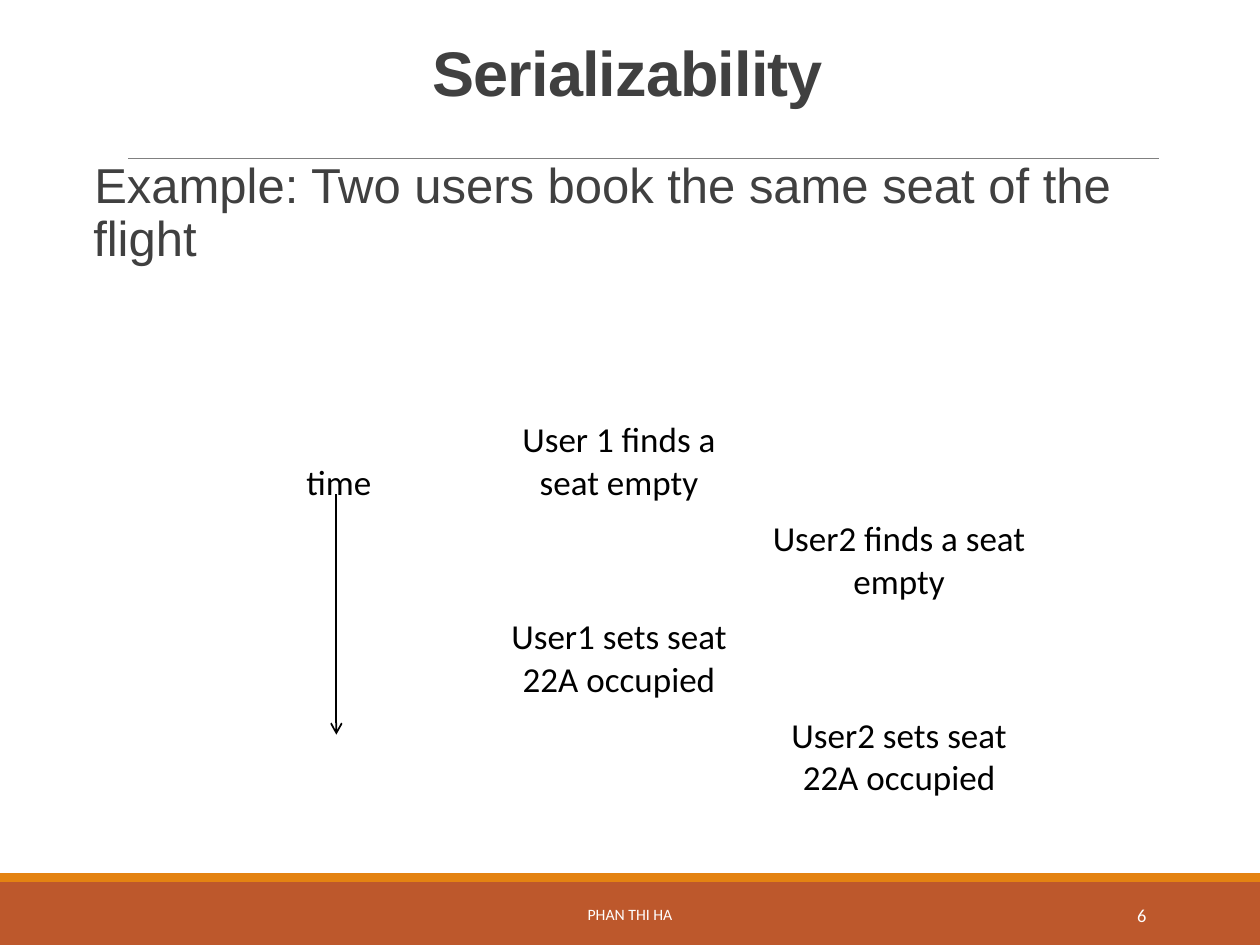
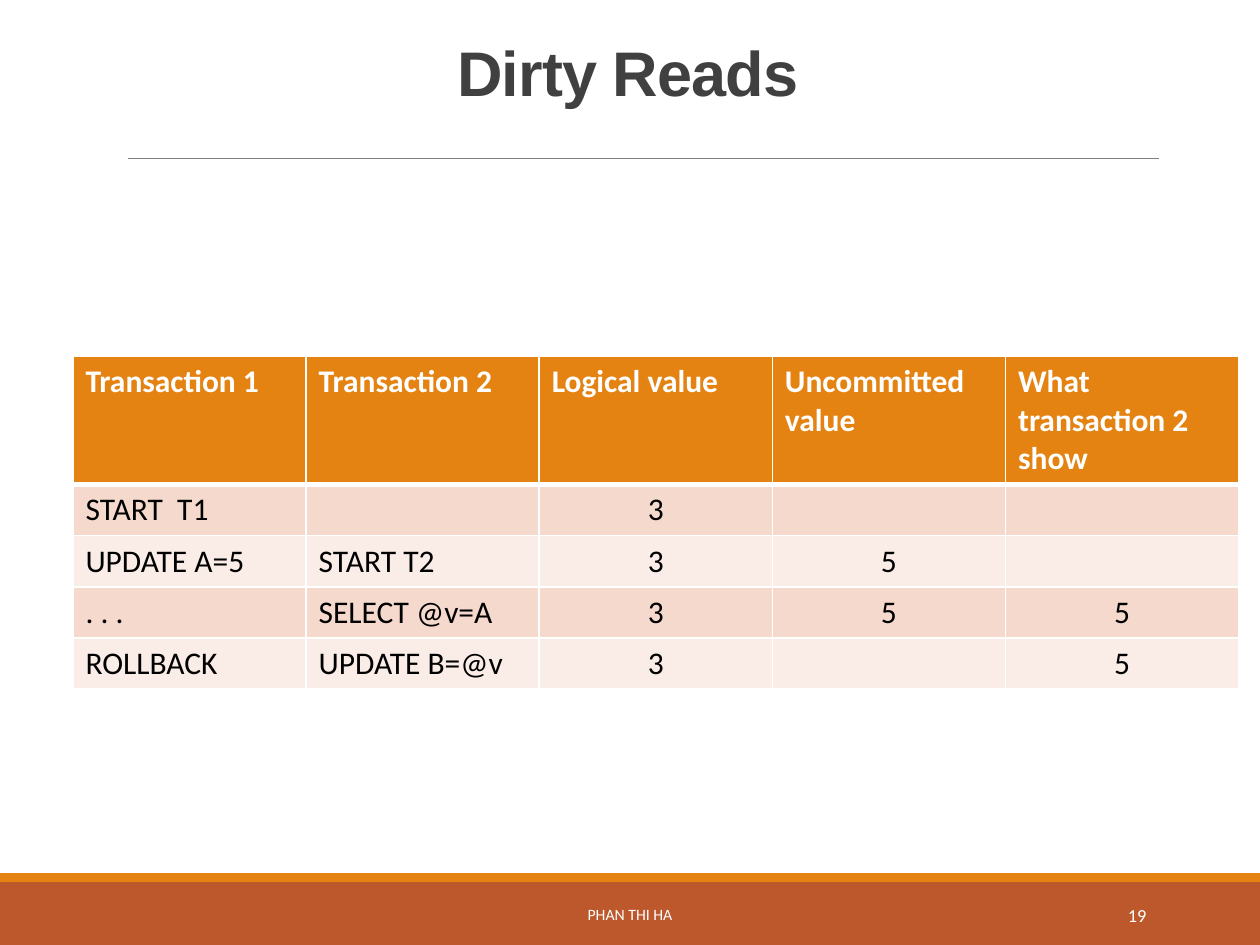
import pptx
import pptx.util
import pptx.dml.color
import pptx.enum.shapes
import pptx.enum.text
import pptx.oxml.ns
from lxml import etree

Cm = pptx.util.Cm
Pt = pptx.util.Pt
RGBColor = pptx.dml.color.RGBColor
ALIGN = pptx.enum.text.PP_ALIGN
ANCHOR = pptx.enum.text.MSO_ANCHOR
qn = pptx.oxml.ns.qn

RUST = RGBColor(0xBD, 0x58, 0x2C)
ORANGE = RGBColor(0xE4, 0x83, 0x12)
GRAY = RGBColor(0x80, 0x80, 0x80)
DARK = RGBColor(0x40, 0x40, 0x40)
BLACK = RGBColor(0x00, 0x00, 0x00)
WHITE = RGBColor(0xFF, 0xFF, 0xFF)
PEACH = RGBColor(0xF5, 0xD9, 0xCC)
CREAM = RGBColor(0xFA, 0xED, 0xE7)

HEAD_FONT = "Arial"
TEXT_FONT = "Calibri"
AUTHOR = "PHAN THI HA"

BOOKING = [
    ["time", "User 1 finds a seat empty", ""],
    ["", "", "User2 finds a seat empty"],
    ["", "User1 sets seat 22A occupied", ""],
    ["", "", "User2 sets seat 22A occupied"],
]
READS = [
    ["Transaction 1", "Transaction 2", "Logical value", "Uncommitted value",
     "What transaction 2 show"],
    ["START  T1", "", "3", "", ""],
    ["UPDATE A=5", "START T2", "3", "5", ""],
    [". . .", "SELECT @v=A", "3", "5", "5"],
    ["ROLLBACK", "UPDATE B=@v", "3", "", "5"],
]


def write(frame, text, size, color, font=TEXT_FONT, bold=False, align=ALIGN.LEFT):
    frame.text = text
    para = frame.paragraphs[0]
    para.alignment = align
    for run in para.runs:
        run.font.name = font
        run.font.size = Pt(size)
        run.font.bold = bold
        run.font.color.rgb = color
    return para


def place(shape, left, top, width, height):
    shape.left, shape.top = Cm(left), Cm(top)
    shape.width, shape.height = Cm(width), Cm(height)
    frame = shape.text_frame
    frame.word_wrap = True
    frame.auto_size = pptx.enum.text.MSO_AUTO_SIZE.NONE
    frame.vertical_anchor = ANCHOR.TOP
    return frame


def add_band(slide, top, height, color):
    band = slide.shapes.add_shape(
        pptx.enum.shapes.MSO_SHAPE.RECTANGLE, 0, Cm(top), Cm(25.4), Cm(height))
    band.shadow.inherit = False
    band.fill.solid()
    band.fill.fore_color.rgb = color
    band.line.fill.background()


def add_line(slide, start, end, color, width, arrow=False):
    line = slide.shapes.add_connector(
        pptx.enum.shapes.MSO_CONNECTOR.STRAIGHT,
        Cm(start[0]), Cm(start[1]), Cm(end[0]), Cm(end[1]))
    line.line.color.rgb = color
    line.line.width = Pt(width)
    if arrow:
        etree.SubElement(line.line._get_or_add_ln(), qn("a:tailEnd"), type="arrow")
    etree.SubElement(line._element.spPr, qn("a:effectLst"))


def add_note(slide, text, left, width, size, align):
    box = slide.shapes.add_textbox(0, 0, 0, 0)
    frame = place(box, left, 17.93, width, 1.02)
    frame.vertical_anchor = ANCHOR.MIDDLE
    write(frame, text, size, WHITE, align=align)


def add_title(slide, text):
    frame = place(slide.shapes.title, 1.63, 0.79, 22.05, 2.34)
    para = write(frame, text, 36, DARK, HEAD_FONT, True, ALIGN.CENTER)
    para.line_spacing = 0.85
    para.runs[0]._r.get_or_add_rPr().set("spc", "-50")


def add_body(slide, text):
    frame = place(slide.placeholders[1], 1.63, 3.12, 22.05, 14.07)
    frame.margin_left = frame.margin_right = 0
    para = write(frame, text, 28, DARK, HEAD_FONT)
    para.line_spacing = 0.9
    para.space_before, para.space_after = Pt(12), Pt(2)
    props = para._p.get_or_add_pPr()
    props.set("marL", str(Cm(0.25)))
    props.set("indent", str(-Cm(0.25)))
    etree.SubElement(props, qn("a:buChar"), char=" ")


def start_slide(deck, layout, title, number):
    slide = deck.slides.add_slide(deck.slide_layouts[layout])
    add_band(slide, 17.78, 1.27, RUST)
    add_band(slide, 17.6, 0.18, ORANGE)
    add_line(slide, (2.59, 3.2), (23.37, 3.2), GRAY, 0.5)
    add_title(slide, title)
    add_note(slide, AUTHOR, 7.67, 10.06, 9, ALIGN.CENTER)
    add_note(slide, number, 20.62, 2.74, 10.5, ALIGN.RIGHT)
    return slide


def add_grid(slide, rows, left, top, width, heights):
    frame = slide.shapes.add_table(
        len(rows), len(rows[0]), Cm(left), Cm(top), Cm(width), Cm(sum(heights)))
    table = frame.table
    table.first_row = table.horz_banding = False
    for row, height in zip(table.rows, heights):
        row.height = Cm(height)
    return table


def set_border(cell, top, bottom):
    props = cell._tc.get_or_add_tcPr()
    for spot, (side, width) in enumerate(
            [("lnL", 1), ("lnR", 1), ("lnT", top), ("lnB", bottom)]):
        edge = etree.Element(qn("a:" + side), w=str(Pt(width)))
        fill = etree.SubElement(edge, qn("a:solidFill"))
        etree.SubElement(fill, qn("a:srgbClr"), val=str(WHITE))
        props.insert(spot, edge)


def add_booking(slide):
    table = add_grid(slide, BOOKING, 4.01, 8.33, 16.94, [1.95] * 4)
    for r, row in enumerate(BOOKING):
        for c, text in enumerate(row):
            cell = table.cell(r, c)
            cell.fill.background()
            if text:
                write(cell.text_frame, text, 20, BLACK, align=ALIGN.CENTER)
    time = table.cell(0, 0)
    time.merge(table.cell(3, 0))
    time.margin_top = Cm(0.99)


def add_reads(slide):
    table = add_grid(slide, READS, 1.47, 7.19, 23.5, [2.54] + [1.03] * 4)
    for r, row in enumerate(READS):
        head = r == 0
        shade = ORANGE if head else (CREAM, PEACH)[r % 2]
        for c, text in enumerate(row):
            cell = table.cell(r, c)
            cell.fill.solid()
            cell.fill.fore_color.rgb = shade
            set_border(cell, 3 if r == 1 else 1, 3 if head else 1)
            if text:
                align = ALIGN.LEFT if head or c < 2 else ALIGN.CENTER
                write(cell.text_frame, text, 18, WHITE if head else BLACK,
                      bold=head, align=align)


def main():
    deck = pptx.Presentation()
    deck.slide_width, deck.slide_height = Cm(25.4), Cm(19.05)

    slide = start_slide(deck, 1, "Serializability", "6")
    add_body(slide, "Example: Two users book the same seat of the flight")
    add_booking(slide)
    add_line(slide, (6.78, 9.96), (6.78, 14.81), BLACK, 1, arrow=True)

    slide = start_slide(deck, 5, "Dirty Reads", "19")
    add_reads(slide)

    deck.save("out.pptx")


if __name__ == "__main__":
    main()
